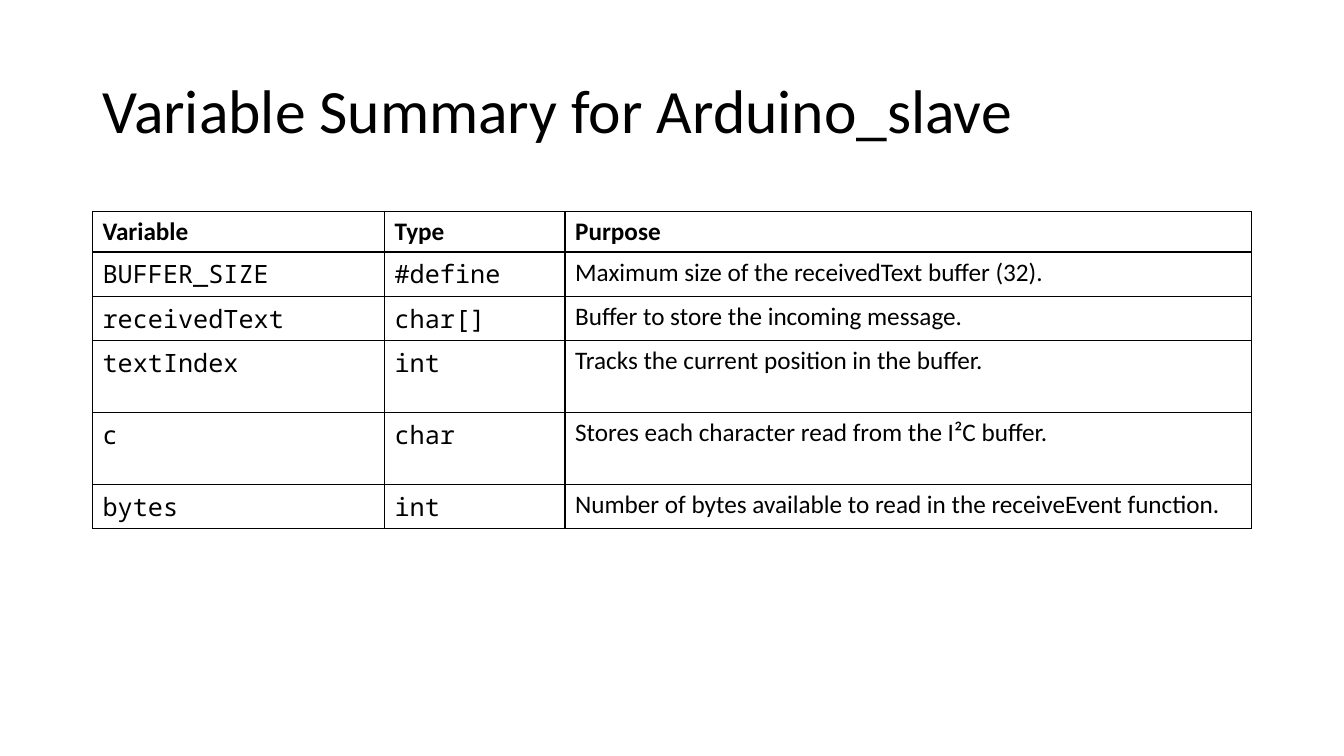
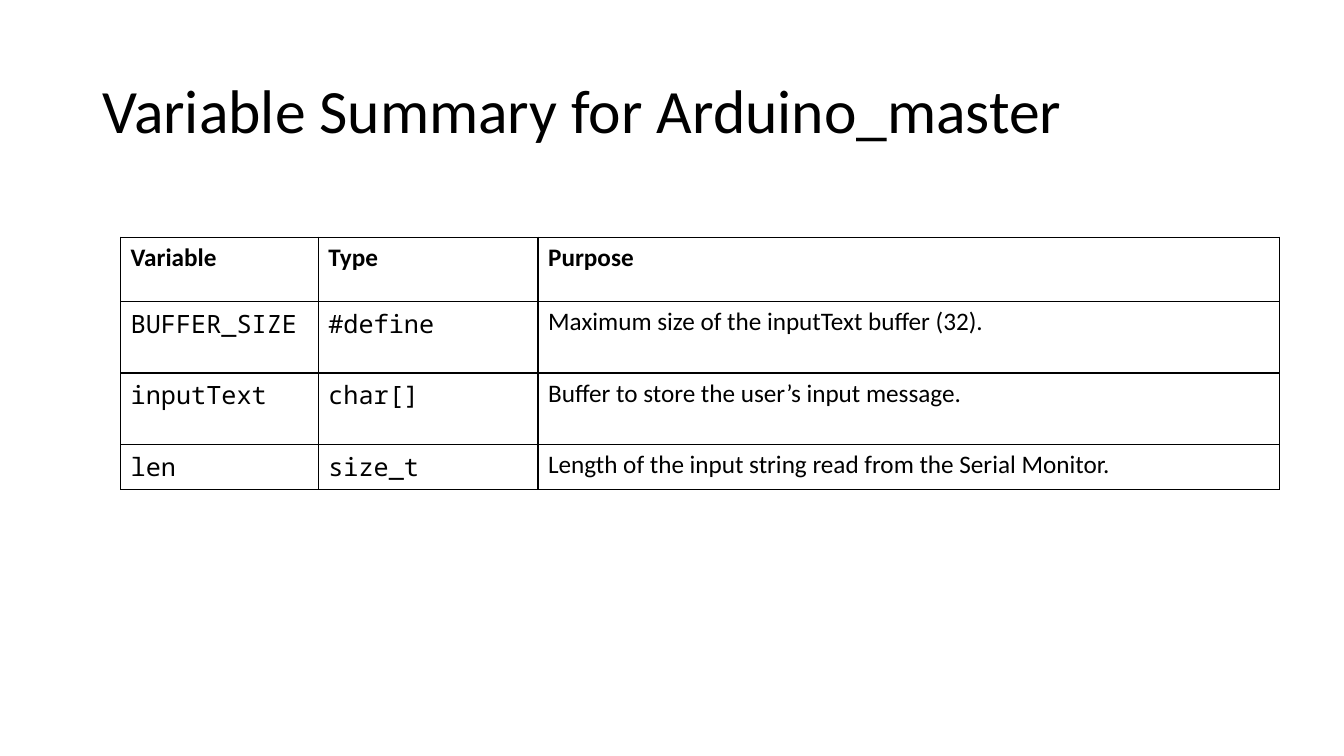
from lxml.etree import SubElement
from pptx import Presentation
from pptx.dml.color import RGBColor
from pptx.enum.text import MSO_ANCHOR, MSO_AUTO_SIZE, PP_ALIGN
from pptx.oxml.ns import qn
from pptx.util import Cm, Pt

BLACK, WHITE = "000000", "FFFFFF"
TEXT_FONT, CODE_FONT = "Calibri", "Noto Sans Mono"
TITLE_BOX = (2.33, 1.01, 29.21, 3.68)
HEADER = ("Variable", "Type", "Purpose")
SINGLE, TALL = 1.11, 1.81  # row heights in cm

SLIDES = [
    {
        "title": "Variable Summary for Arduino_slave",
        "position": (2.33, 5.32),
        "columns": (7.36, 4.55, 17.3),
        "header_height": 1.02,
        "rows": [
            (SINGLE, "BUFFER_SIZE", "#define", "Maximum size of the receivedText buffer (32)."),
            (SINGLE, "receivedText", "char[]", "Buffer to store the incoming message."),
            (TALL, "textIndex", "int", "Tracks the current position in the buffer."),
            (TALL, "c", "char", "Stores each character read from the I²C buffer."),
            (SINGLE, "bytes", "int",
             "Number of bytes available to read in the receiveEvent function."),
        ],
    },
    {
        "title": "Variable Summary for Arduino_master",
        "position": (3.04, 5.98),
        "columns": (4.98, 5.54, 18.69),
        "header_height": 1.61,
        "rows": [
            (TALL, "BUFFER_SIZE", "#define", "Maximum size of the inputText buffer (32)."),
            (TALL, "inputText", "char[]", "Buffer to store the user’s input message."),
            (SINGLE, "len", "size_t", "Length of the input string read from the Serial Monitor."),
        ],
    },
]


def color(value):
    return RGBColor.from_string(value)


def write(frame, text, size=18, font=TEXT_FONT, bold=False, line_spacing=1.0):
    paragraph = frame.paragraphs[0]
    paragraph.alignment = PP_ALIGN.LEFT
    paragraph.line_spacing = line_spacing
    run = paragraph.add_run()
    run.text = text
    run.font.size = Pt(size)
    run.font.name = font
    run.font.bold = bold
    run.font.color.rgb = color(BLACK)


def add_borders(cell, width=1):
    """Draw all four edges; they must stand before the fill in the cell properties."""
    properties = cell._tc.get_or_add_tcPr()
    for index, edge in enumerate(("a:lnL", "a:lnR", "a:lnT", "a:lnB")):
        line = SubElement(properties, qn(edge), w=str(Pt(width)))
        fill = SubElement(line, qn("a:solidFill"))
        SubElement(fill, qn("a:srgbClr"), val=BLACK)
        properties.insert(index, line)


def set_up_title(layout):
    """Place the title once for every slide of the layout."""
    title = layout.placeholders[0]
    title.left, title.top, title.width, title.height = map(Cm, TITLE_BOX)
    title.text_frame.vertical_anchor = MSO_ANCHOR.MIDDLE
    title.text_frame.auto_size = MSO_AUTO_SIZE.NONE


def add_variable_table(slide, content):
    rows = [(content["header_height"], *HEADER)] + content["rows"]
    columns = content["columns"]
    left, top = content["position"]
    height = sum(row[0] for row in rows)
    table = slide.shapes.add_table(len(rows), len(columns), Cm(left), Cm(top),
                                   Cm(sum(columns)), Cm(height)).table
    table.horz_banding = False
    for column, width in zip(table.columns, columns):
        column.width = Cm(width)
    for row_index, (row_height, *texts) in enumerate(rows):
        table.rows[row_index].height = Cm(row_height)
        is_header = row_index == 0
        for column_index, text in enumerate(texts):
            cell = table.cell(row_index, column_index)
            cell.fill.solid()
            cell.fill.fore_color.rgb = color(WHITE)
            add_borders(cell)
            is_code = not is_header and HEADER[column_index] != "Purpose"
            write(cell.text_frame, text, bold=is_header,
                  font=CODE_FONT if is_code else TEXT_FONT)


def main():
    presentation = Presentation()
    presentation.slide_width, presentation.slide_height = Cm(33.87), Cm(19.05)
    layout = presentation.slide_layouts.get_by_name("Title Only")
    set_up_title(layout)
    for content in SLIDES:
        slide = presentation.slides.add_slide(layout)
        write(slide.shapes.title.text_frame, content["title"], size=44, line_spacing=0.9)
        add_variable_table(slide, content)
    presentation.save("out.pptx")


if __name__ == "__main__":
    main()
